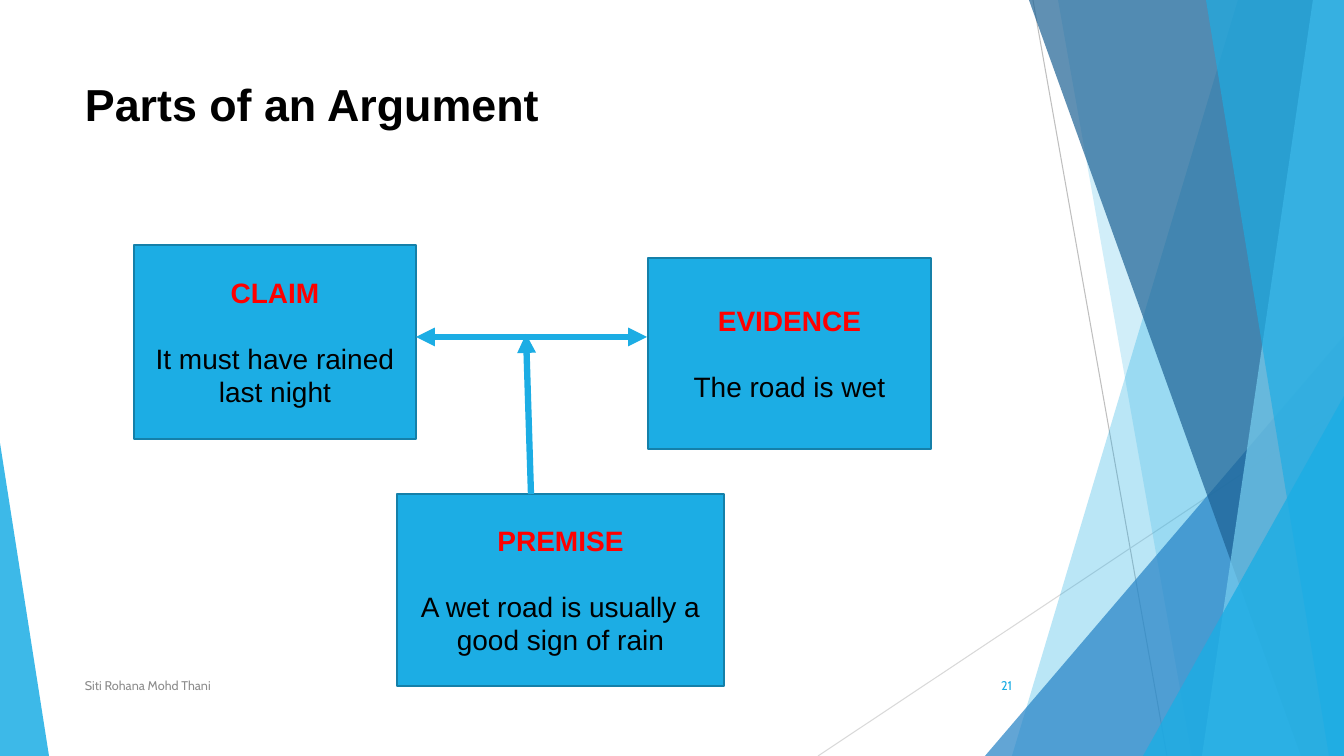
from lxml import etree
from pptx import Presentation
from pptx.dml.color import RGBColor
from pptx.enum.shapes import MSO_CONNECTOR, MSO_SHAPE
from pptx.enum.text import MSO_ANCHOR as ANCHOR, PP_ALIGN as ALIGN
from pptx.oxml.ns import qn
from pptx.util import Pt

PX = 914400 / 100.8
W, H = 1344, 756
SKY = RGBColor(0x1C, 0xAD, 0xE4)
BLUE = RGBColor(0x26, 0x83, 0xC6)
NAVY = RGBColor(0x1D, 0x62, 0x94)
PALE = RGBColor(0x77, 0xCE, 0xEF)
EDGE = RGBColor(0x15, 0x80, 0xA9)
RED = RGBColor(0xFF, 0x00, 0x00)
BLACK = RGBColor(0x00, 0x00, 0x00)
GREY = RGBColor(0x8C, 0x8C, 0x8C)
SILVER = RGBColor(0xBF, 0xBF, 0xBF)
MIST = RGBColor(0xD9, 0xD9, 0xD9)


def px(*lengths):
    return [round(n * PX) for n in lengths]


def tint(sp, color, alpha):
    sp.shadow.inherit = False
    sp.fill.solid()
    sp.fill.fore_color.rgb = color
    sp.line.fill.background()
    clr = sp.fill._xPr.find(qn("a:solidFill"))[0]
    etree.SubElement(clr, qn("a:alpha"), val=str(alpha * 1000))


def add_band(s, box, top_x, bottom_x, color, alpha):
    x, y, w, h = box
    fb = s.shapes.build_freeform(x + top_x, y, scale=PX)
    fb.add_line_segments([(x + w, y), (x + w, y + h), (x + bottom_x, y + h)])
    tint(fb.convert_to_shape(), color, alpha)


def add_corner(s, box, apex, color, alpha):
    sp = s.shapes.add_shape(MSO_SHAPE.ISOSCELES_TRIANGLE, *px(*box))
    sp.adjustments[0] = apex
    tint(sp, color, alpha)


def add_line(s, start, end, color, width, **ends):
    cn = s.shapes.add_connector(MSO_CONNECTOR.STRAIGHT, *px(*start, *end))
    cn.line.color.rgb = color
    cn.line.width = Pt(width)
    ln = cn.line._get_or_add_ln()
    for tag, kind in ends.items():
        etree.SubElement(ln, qn("a:" + tag), type=kind)
    etree.SubElement(cn._element.spPr, qn("a:effectLst"))


def write(p, text, align, color, **font):
    p.alignment = align
    r = p.add_run()
    r.text = text
    r.font.color.rgb = color
    for name, value in font.items():
        setattr(r.font, name, value)


def add_text(s, box, text, anchor, align, color, **font):
    tf = s.shapes.add_textbox(*px(*box)).text_frame
    tf.word_wrap = True
    tf.vertical_anchor = anchor
    write(tf.paragraphs[0], text, align, color, **font)


def add_part(s, box, heading, body):
    sp = s.shapes.add_shape(MSO_SHAPE.RECTANGLE, *px(*box))
    sp.shadow.inherit = False
    sp.fill.solid()
    sp.fill.fore_color.rgb = SKY
    sp.line.color.rgb = EDGE
    sp.line.width = Pt(1.5)
    tf = sp.text_frame
    tf.word_wrap = True
    tf.vertical_anchor = ANCHOR.MIDDLE
    font = {"size": Pt(20), "name": "Arial"}
    write(tf.paragraphs[0], heading, ALIGN.CENTER, RED, bold=True, **font)
    p = tf.add_paragraph()
    p.space_before = Pt(23)
    write(p, body, ALIGN.CENTER, BLACK, bold=False, **font)


def add_facets(s, box):
    x, y, w, h = box
    right, bottom = x + w, y + h
    add_line(s, (x + 1033, y), (x + 1167, bottom), SILVER, 0.75)
    add_line(s, (right, y + 406), (x + 818, bottom), MIST, 0.75)
    add_band(s, box, 1238, 1012, SKY, 30)
    add_band(s, box, 1058, 1192, SKY, 20)
    add_corner(s, (right - 359, bottom - 420, 359, 420), 1, BLUE, 72)
    add_band(s, box, 1029, 1301, NAVY, 70)
    add_band(s, box, 1313, 1202, PALE, 70)
    add_band(s, box, 1206, 1329, SKY, 65)
    add_corner(s, (right - 201, bottom - 360, 201, 360), 1, SKY, 80)
    add_corner(s, (x, bottom - 313, 49, 313), 0, SKY, 85)


def add_diagram(s, box):
    x, y, w, h = box
    add_part(s, (x, y, 282, 194), "CLAIM", "It must have rained last night")
    add_part(s, (x + w - 283, y + 13, 283, 191), "EVIDENCE", "The road is wet")
    add_part(s, (x + 263, y + h - 192, 327, 192), "PREMISE",
             "A wet road is usually a good sign of rain")
    add_line(s, (x + 282, y + 92), (x + w - 284, y + 92), SKY, 4.5,
             headEnd="triangle", tailEnd="triangle")
    add_line(s, (x + 397, y + h - 192), (x + 392, y + 89), SKY, 4.5, tailEnd="triangle")


def add_footer(s, box):
    x, y, w, h = box
    font = {"size": Pt(9), "name": "Cabin"}
    add_text(s, (x, y, 694, h), "Siti Rohana Mohd Thani", ANCHOR.MIDDLE, ALIGN.LEFT, GREY, **font)
    add_text(s, (x + w - 76, y, 76, h), "21", ANCHOR.MIDDLE, ALIGN.RIGHT, SKY, **font)


def main():
    prs = Presentation()
    prs.slide_width, prs.slide_height = px(W, H)
    s = prs.slides.add_slide(prs.slide_layouts[6])
    add_facets(s, (0, 0, W, H))
    add_text(s, (75, 72, 947, 140), "Parts of an Argument", ANCHOR.TOP, ALIGN.LEFT, BLACK,
             size=Pt(32), name="Arial", bold=True)
    add_diagram(s, (134, 245, 797, 441))
    add_footer(s, (75, 666, 947, 40))
    prs.save("out.pptx")


if __name__ == "__main__":
    main()
